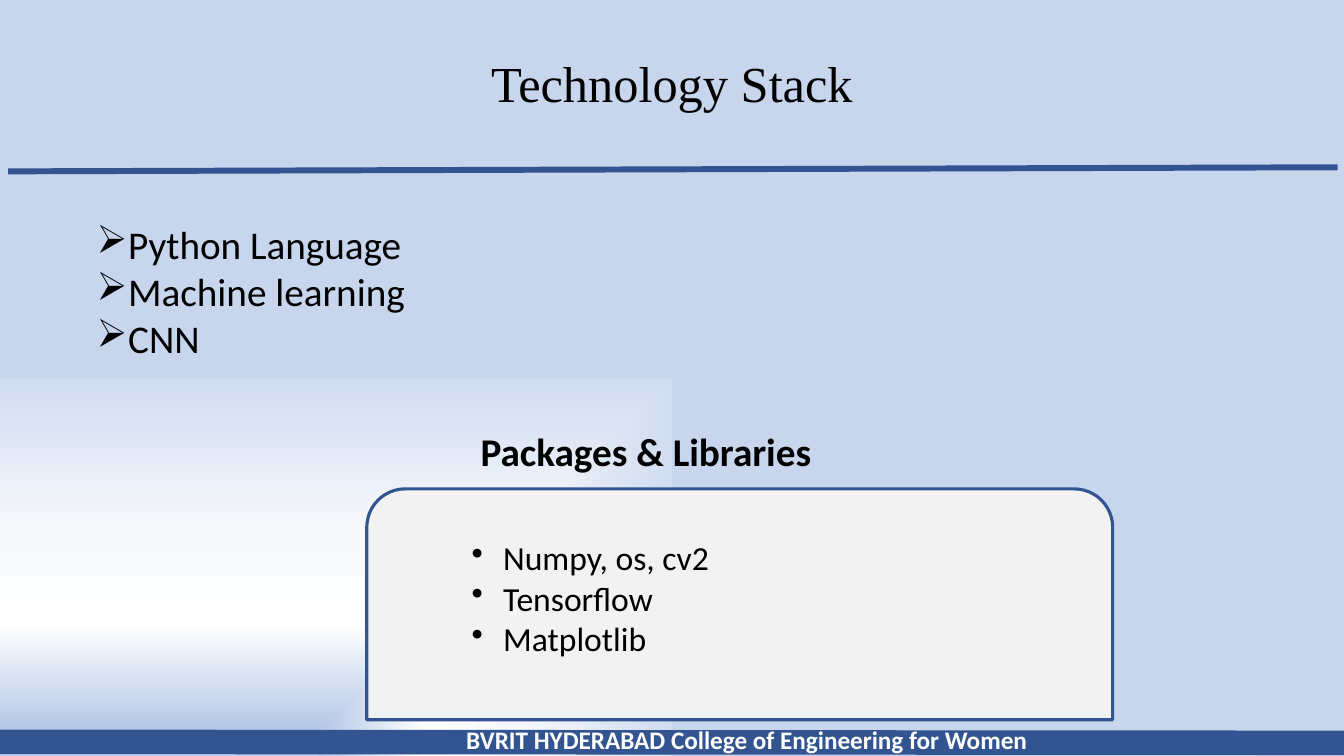
from lxml import etree
from pptx import Presentation
from pptx.dml.color import RGBColor
from pptx.enum import shapes, text
from pptx.oxml import ns
from pptx.util import Pt

COLORS = {"ink": "000000", "navy": "325491", "panel": "F2F2F2", "white": "FFFFFF"}
BACKGROUND_STOPS = [
    (6, "BECEEA"), (7, "B5C7E7"), (35, "FFFFFF"), (60, "F6F8FC"),
    (100, "D1DCF0"), (100, "ABC0E4"), (100, "C7D5ED"),
]


def color(name):
    return RGBColor.from_string(COLORS[name])


def add_child(parent, tag, **attributes):
    return etree.SubElement(parent, ns.qn(tag), attributes)


def set_background(slide, stops):
    slide.background.fill.solid()
    properties = slide.element.find(".//" + ns.qn("p:bgPr"))
    properties.remove(properties[0])
    gradient = etree.Element(ns.qn("a:gradFill"), rotWithShape="1")
    properties.insert(0, gradient)
    stop_list = add_child(gradient, "a:gsLst")
    for position, value in stops:
        stop = add_child(stop_list, "a:gs", pos=str(position * 1000))
        add_child(stop, "a:srgbClr", val=value)
    gradient_path = add_child(gradient, "a:path", path="rect")
    add_child(gradient_path, "a:fillToRect", t="100000", r="100000")
    add_child(gradient, "a:tileRect", l="-100000", b="-100000")


def add_bullet(paragraph, symbol, indent=22.5):
    properties = paragraph._p.get_or_add_pPr()
    properties.set("marL", str(Pt(indent)))
    properties.set("indent", str(-Pt(indent)))
    add_child(properties, "a:buChar", char=symbol)


def add_text(slide, content, left, top, width, height, size=28, font="Calibri",
             ink="ink", bold=False, centered=False, middle=False,
             bullet=None, line_spacing=None):
    shape = slide.shapes.add_textbox(Pt(left), Pt(top), Pt(width), Pt(height))
    frame = shape.text_frame
    frame.word_wrap = True
    frame.vertical_anchor = text.MSO_ANCHOR.MIDDLE if middle else text.MSO_ANCHOR.TOP
    frame.text = content
    for paragraph in frame.paragraphs:
        if bullet:
            add_bullet(paragraph, bullet)
        if centered:
            paragraph.alignment = text.PP_ALIGN.CENTER
        if line_spacing:
            paragraph.line_spacing = line_spacing
        for run in paragraph.runs:
            run.font.name = font
            run.font.size = Pt(size)
            run.font.bold = bold
            run.font.color.rgb = color(ink)


def add_rule(slide, start, end, weight):
    connector = slide.shapes.add_connector(
        shapes.MSO_CONNECTOR.STRAIGHT, *map(Pt, start + end))
    connector.line.color.rgb = color("navy")
    connector.line.width = Pt(weight)
    add_child(connector._element.spPr, "a:effectLst")


def add_panel(slide, left, top, width, height):
    shape = slide.shapes.add_shape(
        shapes.MSO_SHAPE.ROUND_2_SAME_RECTANGLE,
        Pt(left), Pt(top), Pt(width), Pt(height))
    shape.shadow.inherit = False
    shape.fill.solid()
    shape.fill.fore_color.rgb = color("panel")
    shape.line.color.rgb = color("navy")
    shape.line.width = Pt(2.25)


def main():
    presentation = Presentation()
    presentation.slide_width = Pt(960)
    presentation.slide_height = Pt(540)
    slide = presentation.slides.add_slide(presentation.slide_layouts[6])
    set_background(slide, BACKGROUND_STOPS)

    add_text(slide, "Technology Stack", 66, 28.8, 828, 65.5, size=36,
             font="Times New Roman", centered=True, middle=True, line_spacing=0.9)
    add_rule(slide, (5.8, 122.4), (955.4, 119.5), 4.25)
    add_text(slide, "Python Language\nMachine learning\nCNN",
             62, 154, 750, 109, bullet="➢")

    add_panel(slide, 262, 349.2, 532.8, 164.9)
    add_text(slide, "Numpy, os, cv2\nTensorflow\nMatplotlib",
             329.8, 380.2, 395.3, 94.3, size=24, bullet="•")
    add_text(slide, "Packages & Libraries", 336.2, 301.7, 363.6, 41, bold=True)

    add_rule(slide, (-1.4, 529.9), (962.6, 530.6), 17.5)
    add_text(slide, "BVRIT HYDERABAD College of Engineering for Women",
             249.1, 514.1, 568.8, 28.8, size=18, ink="white", bold=True, centered=True)

    presentation.save("out.pptx")


if __name__ == "__main__":
    main()
